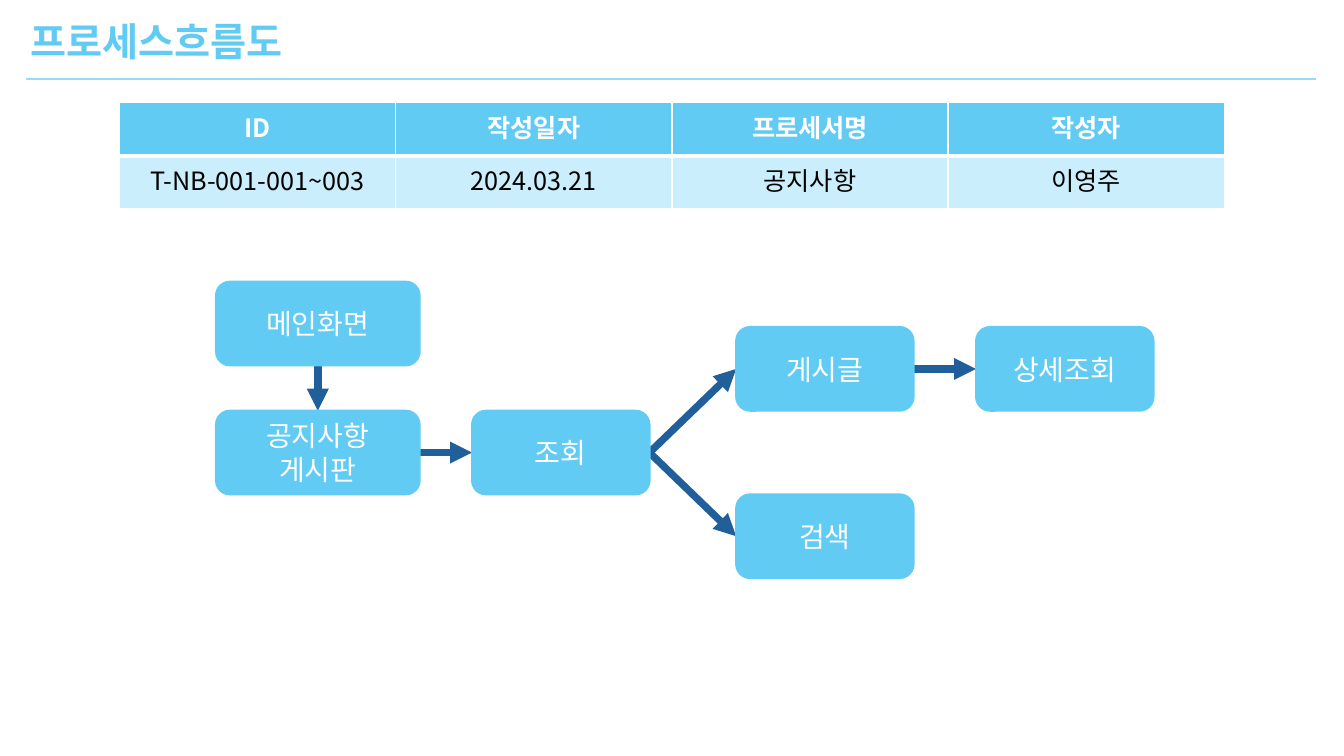
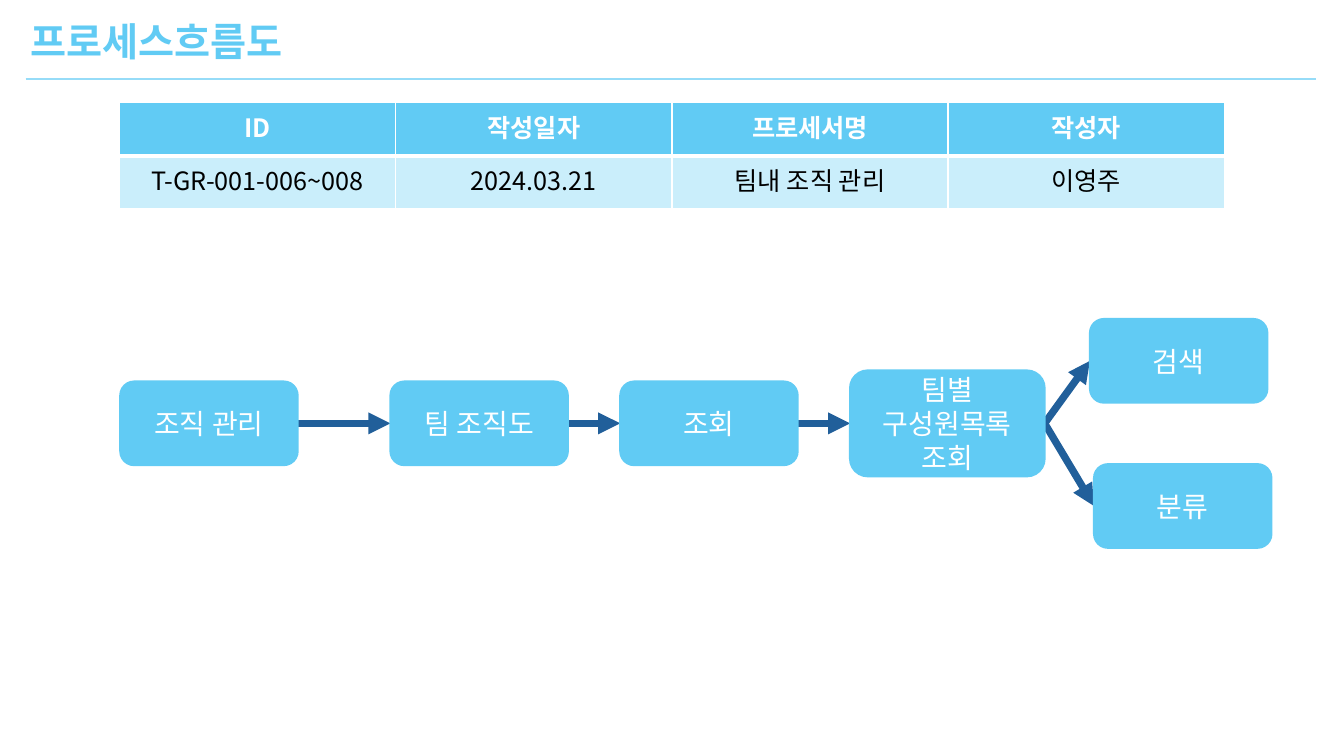
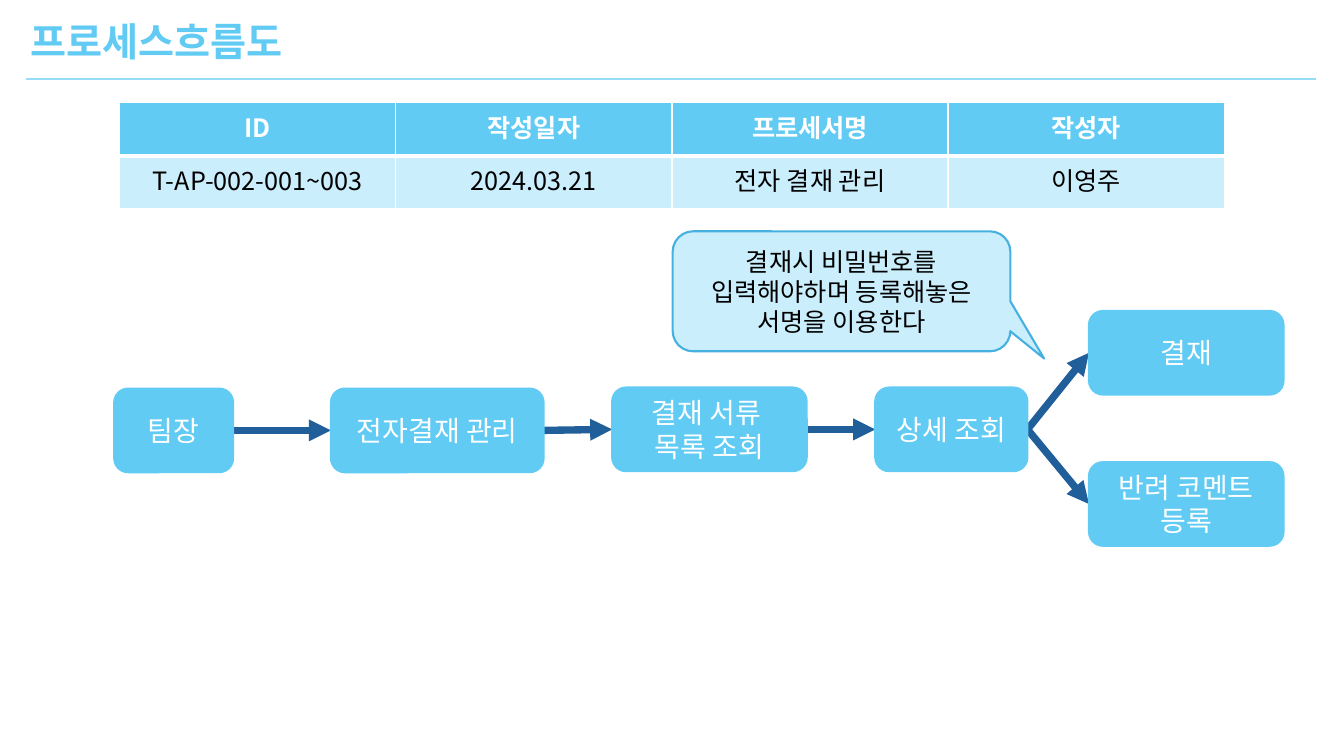
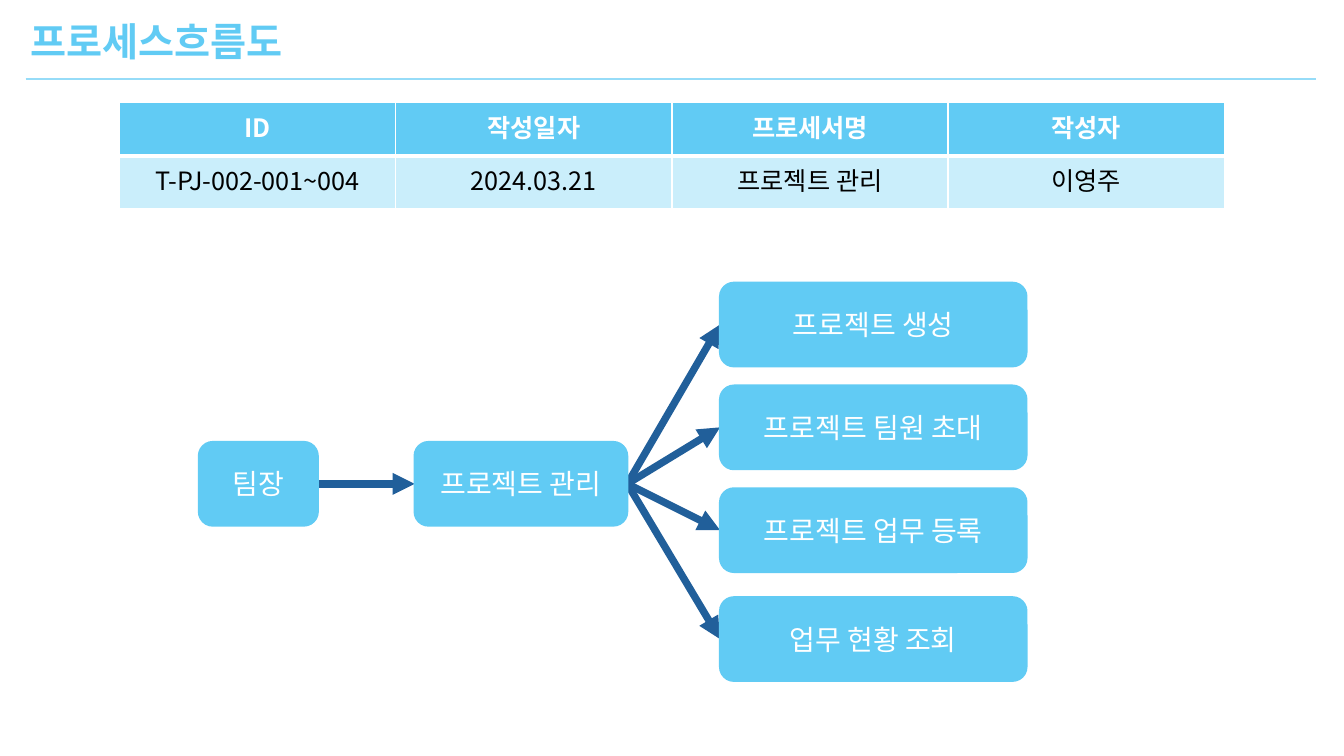
from lxml import etree
from pptx import Presentation, util as u
from pptx.dml.color import RGBColor
from pptx.enum import shapes as es, text as et
from pptx.oxml.ns import qn

W, H = 13.33, 7.5
FONT = "Noto Sans CJK KR"
HUES = {"main": "61CBF4", "pale": "CAEEFB", "rule": "96DCF8",
        "edge": "46B1E1", "arrow": "215F9A", "white": "FFFFFF", "black": "000000"}

# Regions as shares of the slide: left, top, width, height
TITLE = (0.015, 0.016, 0.22, 0.076)
RULE = (0.019, 0.104, 0.96, 0)
TABLE = (0.089, 0.136, 0.822, 0.14)
FLOW = (0.085, 0.3, 0.87, 0.6)
COLS, ROWS = 116, 45  # grid of the flow region
HIGH = 8.3            # usual node height in rows

HEADS = ["ID", "작성일자", "프로세서명", "작성자"]
DATE, AUTHOR = "2024.03.21", "이영주"

# Nodes: key -> text, left, middle row, width[, height]; links: from, to[, sides]
PAGES = [
    {"id": "T-NB-001-001~003", "name": "공지사항",
     "nodes": {"home": ("메인화면", 10.1, 9.6, 20.2),
               "board": ("공지사항\n게시판", 10.1, 22.4, 20.2),
               "view": ("조회", 35.5, 22.4, 17.6),
               "post": ("게시글", 61.7, 14.1, 17.6),
               "detail": ("상세조회", 85.5, 14.1, 17.6),
               "search": ("검색", 61.7, 30.7, 17.6)},
     "links": [("home", "board", 2, 0), ("board", "view"), ("view", "post"),
               ("view", "search"), ("post", "detail")]},
    {"id": "T-GR-001-006~008", "name": "팀내 조직 관리",
     "nodes": {"group": ("조직 관리", 0.6, 19.5, 17.6),
               "chart": ("팀 조직도", 27.4, 19.5, 17.6),
               "view": ("조회", 50.2, 19.5, 17.6),
               "team": ("팀별 구성원목록 조회", 73, 19.5, 19.3, 10.5),
               "search": ("검색", 96.8, 13.3, 17.6),
               "sort": ("분류", 97.2, 27.7, 17.6)},
     "links": [("group", "chart"), ("chart", "view"), ("view", "team"),
               ("team", "search"), ("team", "sort")]},
    {"id": "T-AP-002-001~003", "name": "전자 결재 관리",
     "nodes": {"lead": ("팀장", 0, 20.2, 11.8),
               "manage": ("전자결재 관리", 21.5, 20.2, 21.1),
               "list": ("결재 서류 \n목록 조회", 49.4, 20.1, 19.3),
               "detail": ("상세 조회", 75.5, 20.1, 15.1),
               "sign": ("결재", 96.7, 12.5, 19.3),
               "reject": ("반려 코멘트 등록", 96.7, 27.5, 19.3)},
     "links": [("lead", "manage"), ("manage", "list"), ("list", "detail"),
               ("detail", "sign"), ("detail", "reject")],
     "note": ("결재시 비밀번호를 입력해야하며 등록해놓은 서명을 이용한다",
              55.4, 6.4, 33.5, 11.9)},
    {"id": "T-PJ-002-001~004", "name": "프로젝트 관리",
     "nodes": {"lead": ("팀장", 8.4, 25.5, 11.8),
               "manage": ("프로젝트 관리", 29.8, 25.5, 21.1),
               "create": ("프로젝트 생성", 60.1, 9.7, 30.4),
               "invite": ("프로젝트 팀원 초대", 60.1, 19.9, 30.4),
               "task": ("프로젝트 업무 등록", 60.1, 30.1, 30.4),
               "status": ("업무 현황 조회", 60.1, 40.9, 30.4)},
     "links": [("lead", "manage"), ("manage", "create"), ("manage", "invite"),
               ("manage", "task"), ("manage", "status")]},
]


def rgb(hue):
    return RGBColor.from_string(HUES[hue])


def area(box):
    """Turn shares of the slide into lengths."""
    return [u.Inches(s * full) for s, full in zip(box, (W, H, W, H))]


def write(frame, text, size=20, hue="white", bold=False, align=et.PP_ALIGN.CENTER):
    for i, line in enumerate(text.split("\n")):
        para = frame.add_paragraph() if i else frame.paragraphs[0]
        para.alignment = align
        run = para.add_run()
        run.text = line
        font = run.font
        font.size, font.bold, font.name = u.Pt(size), bold, FONT
        font.color.rgb = rgb(hue)
        etree.SubElement(run._r.get_or_add_rPr(), qn("a:ea"), typeface=FONT)


def stroke(slide, x1, y1, x2, y2, hue, width):
    line = slide.shapes.add_connector(es.MSO_CONNECTOR.STRAIGHT, x1, y1, x2, y2)
    line.line.color.rgb = rgb(hue)
    line.line.width = u.Pt(width)
    etree.SubElement(line._element.spPr, qn("a:effectLst"))
    return line


def header(slide, box, rule):
    x, y, w, h = area(rule)
    stroke(slide, x, y, x + w, y, "rule", 1.5)
    frame = slide.shapes.add_textbox(*area(box)).text_frame
    frame.word_wrap = False
    frame.auto_size = et.MSO_AUTO_SIZE.SHAPE_TO_FIT_TEXT
    write(frame, "프로세스흐름도", size=28, hue="main", bold=True, align=et.PP_ALIGN.LEFT)


def border(cell, side, width):
    edge = etree.SubElement(cell._tc.get_or_add_tcPr(), qn("a:ln" + side),
                            w=str(u.Pt(width)))
    fill = etree.SubElement(edge, qn("a:solidFill"))
    etree.SubElement(fill, qn("a:srgbClr"), val=HUES["white"])


def summary(slide, box, values):
    grid = slide.shapes.add_table(2, len(HEADS), *area(box)).table
    for r, row in enumerate((HEADS, values)):
        top = r == 0
        for c, text in enumerate(row):
            cell = grid.cell(r, c)
            for side in "LRTB":
                thick = (top and side == "B") or (not top and side == "T")
                border(cell, side, 3 if thick else 1)
            cell.fill.solid()
            cell.fill.fore_color.rgb = rgb("main" if top else "pale")
            write(cell.text_frame, text, size=18, hue="white" if top else "black", bold=top)


def block(slide, box, spot, kind=es.MSO_SHAPE.ROUNDED_RECTANGLE,
          fill="main", edge="main", **fmt):
    """Place one labelled shape on the grid of the given box."""
    text, col, mid, wide, *rest = spot
    high = rest[0] if rest else HIGH
    x, y, w, h = area(box)
    cw, rh = w / COLS, h / ROWS
    shape = slide.shapes.add_shape(kind, int(x + col * cw), int(y + (mid - high / 2) * rh),
                                   int(wide * cw), int(high * rh))
    shape.shadow.inherit = False
    shape.fill.solid()
    shape.fill.fore_color.rgb = rgb(fill)
    shape.line.color.rgb = rgb(edge)
    shape.line.width = u.Pt(1.5)
    frame = shape.text_frame
    frame.word_wrap = True
    frame.vertical_anchor = et.MSO_ANCHOR.MIDDLE
    write(frame, text, **fmt)
    return shape


def link(slide, start, end, out=3, into=1):
    line = stroke(slide, 0, 0, 0, 0, "arrow", 5.25)
    line.begin_connect(start, out)
    line.end_connect(end, into)
    etree.SubElement(line.line._get_or_add_ln(), qn("a:tailEnd"), type="triangle")
    slide.shapes._spTree.insert(2, line._element)  # behind the nodes


def flow(slide, box, nodes, links, note=None):
    made = {key: block(slide, box, spot) for key, spot in nodes.items()}
    for start, end, *sides in links:
        link(slide, made[start], made[end], *sides)
    if note:
        bubble = block(slide, box, note, es.MSO_SHAPE.ROUNDED_RECTANGULAR_CALLOUT,
                       fill="pale", edge="edge", size=18, hue="black")
        for i, value in enumerate((0.6, 0.56, 0.17)):
            bubble.adjustments[i] = value


def main():
    deck = Presentation()
    deck.slide_width, deck.slide_height = u.Inches(W), u.Inches(H)
    for page in PAGES:
        slide = deck.slides.add_slide(deck.slide_layouts[6])
        header(slide, TITLE, RULE)
        summary(slide, TABLE, [page["id"], DATE, page["name"], AUTHOR])
        flow(slide, FLOW, page["nodes"], page["links"], page.get("note"))
    deck.save("out.pptx")


if __name__ == "__main__":
    main()
